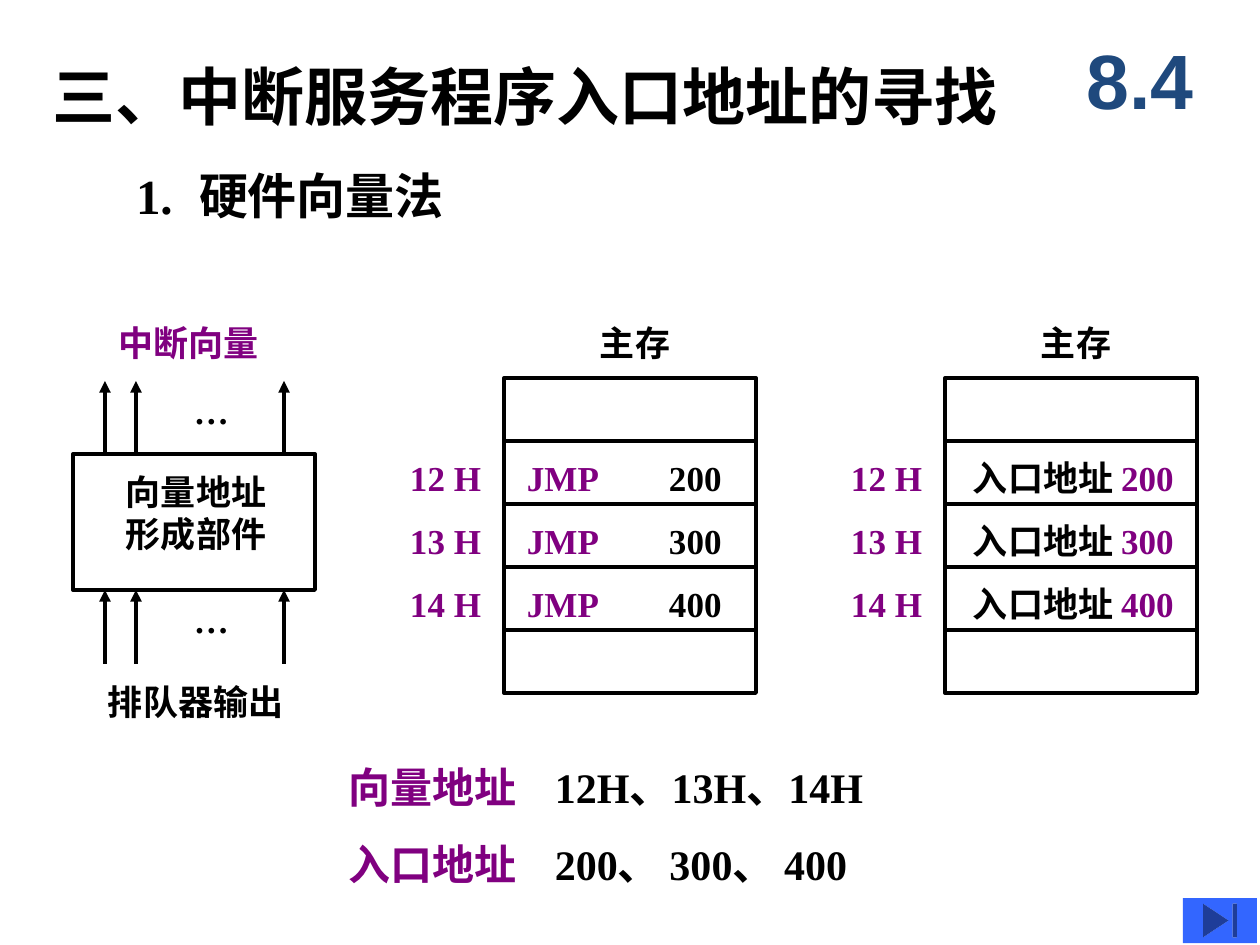
from dataclasses import dataclass
from lxml import etree
from pptx import Presentation
from pptx import util as u
from pptx.dml.color import RGBColor
from pptx.enum import shapes, text
from pptx.oxml.ns import qn


@dataclass(frozen=True)
class Theme:
    ink: str = "000000"
    key: str = "800080"
    mark: str = "1F497D"
    button: str = "3366FF"
    serif: str = "Times New Roman"
    sans: str = "Arial"
    title: int = 36
    head: int = 28
    note: int = 24
    label: int = 20
    chapter: int = 44
    line: float = 2.25


T = Theme()

# Content: each paragraph is a list of (text, colour) runs
TITLE = [[("三、中断服务程序入口地址的寻找", T.ink)]]
HEAD = [[("1.\t硬件向量法", T.ink)]]
CHAPTER = [[("8.4", T.mark)]]
SLOTS = ["12 H", "13 H", "14 H"]
ENTRIES = ["200", "300", "400"]
# left edge, text offset, text width, tab stop, lead text and colours
STORES = [
    (504, 10, 252, 142, "JMP\t", T.key, T.ink),
    (945, 15, 234, None, "入口地址 ", T.ink, T.key),
]
UNIT = [[("向量地址", T.ink)], [("形成部件", T.ink)]]
NOTES = [
    [("向量地址\t", T.key), ("12H、13H、14H", T.ink)],
    [("入口地址\t", T.key), ("200、 300、 400", T.ink)],
]

# Layout in px
TOP, ROW, WIDTH = 378, 63, 252
LINES_X = [105, 136, 284]
FLOWS = [(454, 381, 383), (664, 590, 592)]  # arrow start, arrow end, dots top


def px(n):
    return round(n * 914400 / 126)


def rgb(code):
    return RGBColor.from_string(code)


def write(box, paras, size, font=T.serif, inset=(13, 6), wrap=False,
          middle=False, tab=None, gap=0, align=text.PP_ALIGN.LEFT):
    frame = box.text_frame
    frame.auto_size = text.MSO_AUTO_SIZE.NONE
    frame.word_wrap = wrap
    frame.margin_left = frame.margin_right = px(inset[0])
    frame.margin_top = frame.margin_bottom = px(inset[1])
    frame.vertical_anchor = text.MSO_ANCHOR.MIDDLE if middle else text.MSO_ANCHOR.TOP
    for i, runs in enumerate(paras):
        para = frame.add_paragraph() if i else frame.paragraphs[0]
        props = para._p.get_or_add_pPr()
        if box.is_placeholder:
            props.set("marL", "0")
            props.set("indent", "0")
            etree.SubElement(props, qn("a:buNone"))
        if tab:
            stops = etree.SubElement(props, qn("a:tabLst"))
            etree.SubElement(stops, qn("a:tab"), pos=str(px(tab)), algn="l")
        para.alignment = align
        para.space_before = u.Pt(gap if i else 0)
        for words, colour in runs:
            run = para.add_run()
            run.text = words
            run.font.name, run.font.size, run.font.bold = font, u.Pt(size), True
            run.font.color.rgb = rgb(colour)


def place(box, x, y, w, h):
    box.left, box.top, box.width, box.height = map(px, (x, y, w, h))


def label(parent, at, paras, size=T.label, **style):
    box = parent.shapes.add_textbox(*map(px, at))
    write(box, paras, size, **style)


def frame_box(parent, *at):
    box = parent.shapes.add_shape(shapes.MSO_SHAPE.RECTANGLE, *map(px, at))
    box.shadow.inherit = False
    box.fill.background()
    box.line.color.rgb = rgb(T.ink)
    box.line.width = u.Pt(T.line)


def arrow(parent, x, start, end):
    wire = parent.shapes.add_connector(
        shapes.MSO_CONNECTOR.STRAIGHT, *map(px, (x, start, x, end)))
    wire.line.color.rgb = rgb(T.ink)
    wire.line.width = u.Pt(T.line)
    etree.SubElement(wire.line._get_or_add_ln(), qn("a:tailEnd"), type="triangle")
    etree.SubElement(wire._element.spPr, qn("a:effectLst"))


def draw_store(slide, left, shift, width, tab, lead, first, last):
    group = slide.shapes.add_group_shape()
    for i in range(5):
        frame_box(group, left, TOP + i * ROW, WIDTH, ROW)
    for i, (slot, entry) in enumerate(zip(SLOTS, ENTRIES), 1):
        y = TOP + i * ROW
        label(group, (left - 94, y, 84, 73), [[(slot, T.key)]],
              inset=(0, 6), middle=True)
        label(group, (left + shift, y + 9, width, 55),
              [[(lead, first), (entry, last)]], tab=tab)
    label(group, (left + 83, 315, 94, 55), [[("主存", T.ink)]])


def draw_unit(slide):
    group = slide.shapes.add_group_shape()
    frame_box(group, 73, 454, 242, 136)
    label(group, (113, 464, 165, 97), UNIT)
    for start, end, dots in FLOWS:
        for x in LINES_X:
            arrow(group, x, start, end)
        label(group, (181, dots, 60, 55), [[("…", T.ink)]])
    label(group, (105, 315, 231, 55), [[("中断向量", T.key)]], wrap=True)
    label(group, (95, 674, 294, 55), [[("排队器输出", T.ink)]], wrap=True)


def main():
    deck = Presentation()
    deck.slide_width, deck.slide_height = px(1260), px(945)
    slide = deck.slides.add_slide(deck.slide_layouts[1])

    # Title and heading
    title, head = slide.placeholders
    place(title, 53, 53, 1197, 84)
    write(title, TITLE, T.title, inset=(0, 6), middle=True)
    place(head, 136, 158, 536, 73)
    write(head, HEAD, T.head, inset=(0, 6), middle=True, tab=73)

    # Vector unit and the two main stores
    for store in STORES:
        draw_store(slide, *store)
    draw_unit(slide)

    # Summary and chapter number
    label(slide, (336, 756, 955, 140), NOTES, T.note, wrap=True, tab=206, gap=15)
    label(slide, (1061, 21, 158, 116), CHAPTER, T.chapter, font=T.sans,
          wrap=True, middle=True, align=text.PP_ALIGN.CENTER)

    # Button to the last slide
    button = slide.shapes.add_shape(
        shapes.MSO_SHAPE.ACTION_BUTTON_END, *map(px, (1183, 898, 74, 45)))
    button.shadow.inherit = False
    button.fill.solid()
    button.fill.fore_color.rgb = rgb(T.button)
    button.line.fill.background()

    deck.save("out.pptx")


if __name__ == "__main__":
    main()
